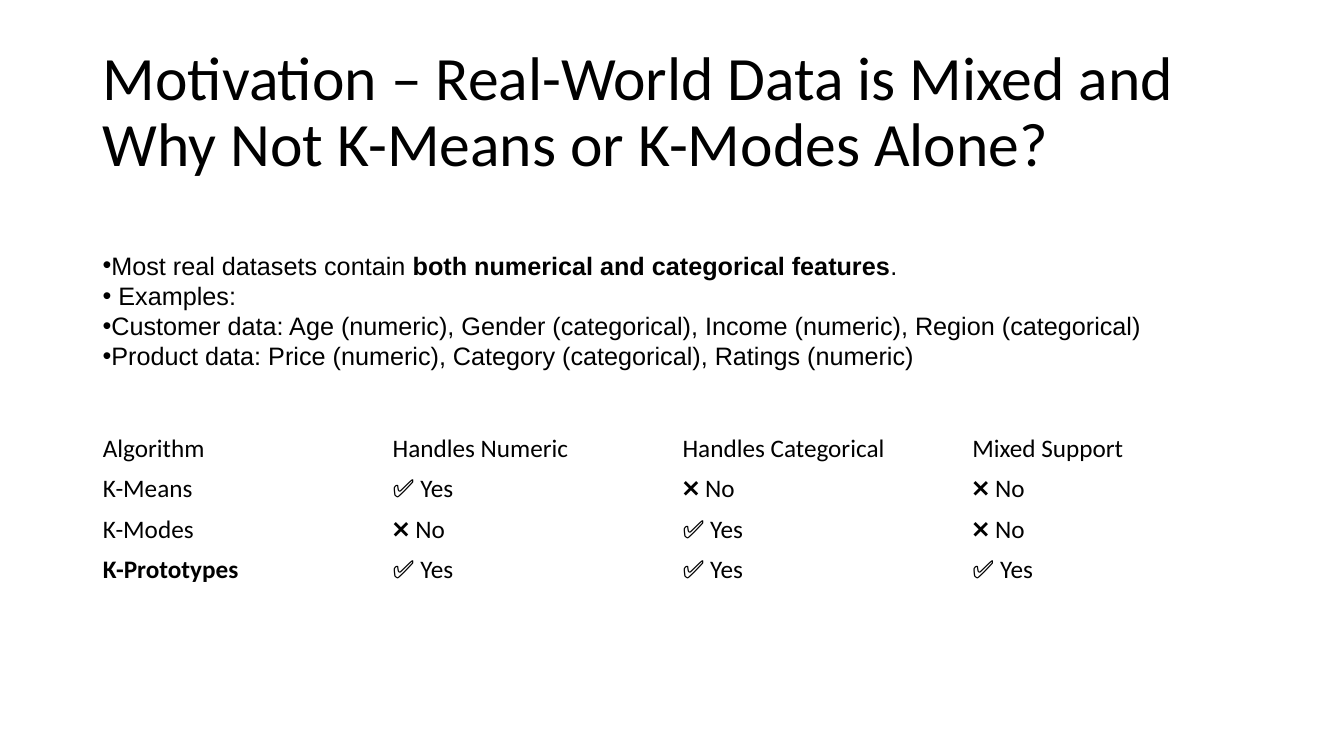
from pptx import Presentation
from pptx.dml.color import RGBColor
from pptx.enum import text as txt
from pptx.oxml import ns
from pptx.util import Inches, Pt
from lxml import etree

BLACK = "000000"
YES, NO = "✅ Yes", "❌ No"
TITLE = "Motivation – Real-World Data is Mixed and Why Not K-Means or K-Modes Alone?"
POINTS = [
    [("Most real datasets contain ", False),
     ("both numerical and categorical features", True), (".", False)],
    [(" Examples:", False)],
    [("Customer data: Age (numeric), Gender (categorical), "
      "Income (numeric), Region (categorical)", False)],
    [("Product data: Price (numeric), Category (categorical), "
      "Ratings (numeric)", False)],
]
ROWS = [
    ["Algorithm", "Handles Numeric", "Handles Categorical", "Mixed Support"],
    ["K-Means", YES, NO, NO],
    ["K-Modes", NO, YES, NO],
    ["K-Prototypes", YES, YES, YES],
]


def color(code):
    return RGBColor.from_string(code)


def write(para, words, size=18, font="Calibri", bold=False, fill=BLACK):
    run = para.add_run()
    run.text = words
    run.font.size = Pt(size)
    run.font.name = font
    run.font.bold = bold
    run.font.color.rgb = color(fill)


def bullet(para):
    props = para._p.get_or_add_pPr()
    props.set("marL", "0")
    props.set("indent", "0")
    font = etree.SubElement(props, ns.qn("a:buFont"))
    font.set("typeface", "Arial")
    mark = etree.SubElement(props, ns.qn("a:buChar"))
    mark.set("char", "•")


def box(slide, left, top, width, height, anchor):
    shape = slide.shapes.add_textbox(
        Inches(left), Inches(top), Inches(width), Inches(height))
    frame = shape.text_frame
    frame.word_wrap = True
    frame.vertical_anchor = anchor
    return frame


def title(slide):
    frame = box(slide, 0.92, 0.4, 11.5, 1.45, txt.MSO_ANCHOR.MIDDLE)
    para = frame.paragraphs[0]
    para.line_spacing = 0.9
    write(para, TITLE, size=44)


def points(slide):
    frame = box(slide, 0.92, 2.41, 10.6, 1.62, txt.MSO_ANCHOR.TOP)
    frame.word_wrap = False
    frame.margin_top = Inches(0.07)
    for i, parts in enumerate(POINTS):
        para = frame.add_paragraph() if i else frame.paragraphs[0]
        bullet(para)
        for words, bold in parts:
            write(para, words, font="Arial", bold=bold)


def table(slide):
    grid = slide.shapes.add_table(
        len(ROWS), len(ROWS[0]), Inches(0.92), Inches(4.25),
        Inches(11.5), Inches(1.6)).table
    grid.first_row = False
    grid.horz_banding = False
    for r, row in enumerate(ROWS):
        for c, words in enumerate(row):
            cell = grid.cell(r, c)
            cell.fill.background()
            cell.vertical_anchor = txt.MSO_ANCHOR.MIDDLE
            write(cell.text_frame.paragraphs[0], words,
                  bold=words == "K-Prototypes")


def main():
    deck = Presentation()
    deck.slide_width = Inches(13.33)
    deck.slide_height = Inches(7.5)
    slide = deck.slides.add_slide(deck.slide_layouts[6])
    title(slide)
    points(slide)
    table(slide)
    deck.save("out.pptx")


if __name__ == "__main__":
    main()
